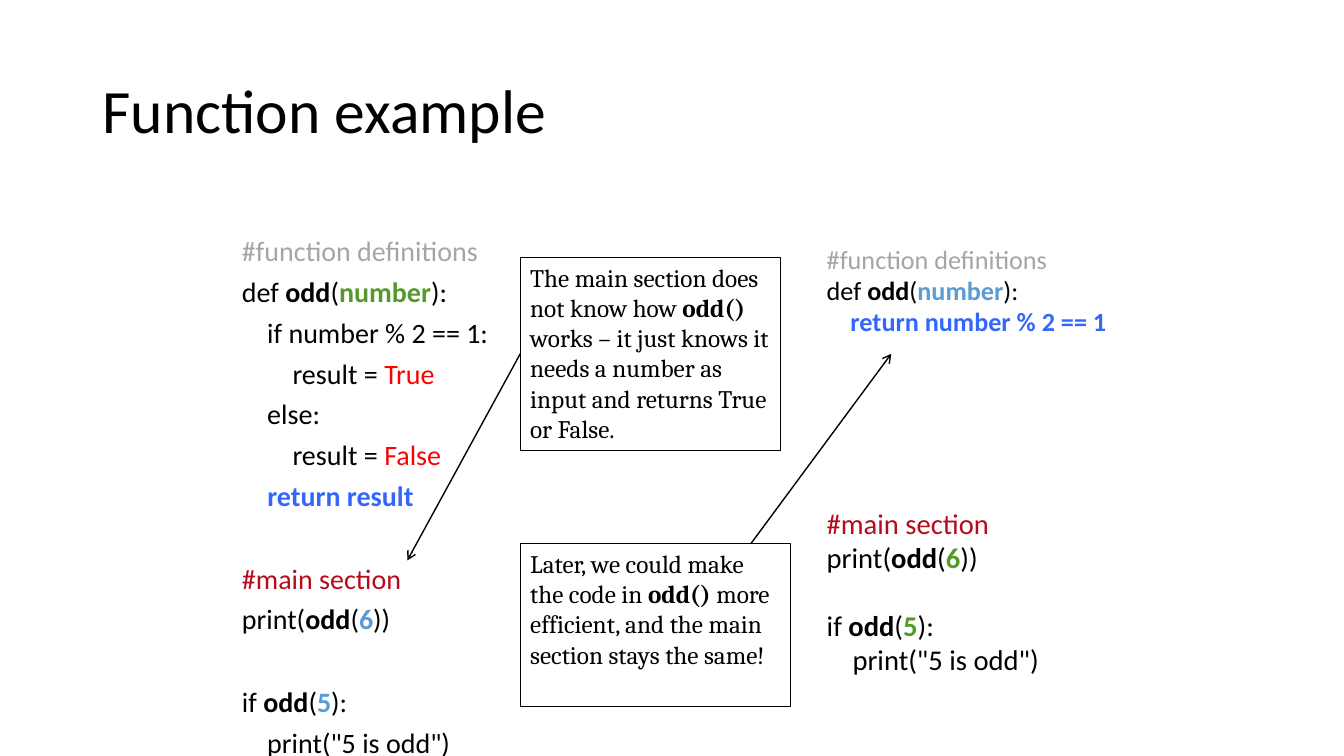
"""Build the slide that compares two versions of the odd() function."""
from dataclasses import dataclass

import pptx
import pptx.dml.color
import pptx.enum.shapes
import pptx.enum.text
import pptx.oxml
import pptx.oxml.ns
import pptx.util

Inches = pptx.util.Inches
Pt = pptx.util.Pt


@dataclass(frozen=True)
class Theme:
    black: str = "000000"
    grey: str = "A5A5A5"
    green: str = "55992B"
    light_blue: str = "5B9BD5"
    blue: str = "3366FF"
    red: str = "FF0000"
    crimson: str = "B50B1B"
    body_font: str = "Calibri"
    note_font: str = "Cambria"
    title_size: float = 44
    code_size: float = 20
    short_definition_size: float = 18.7
    short_main_size: float = 20.4
    note_size: float = 18


THEME = Theme()


def rgb(colour):
    return pptx.dml.color.RGBColor.from_string(colour)


def plain(text, colour=THEME.black):
    return text, colour, False


def strong(text, colour=THEME.black):
    return text, colour, True


def definition(colour):
    """Return the comment and the header line of odd()."""
    return [
        [plain("#function definitions", THEME.grey)],
        [plain("def "), strong("odd"), plain("("), strong("number", colour), plain("):")],
    ]


def call(before, value, after, colour):
    return [plain(before), strong("odd"), plain("("), strong(value, colour), plain(after)]


def main_section(colour):
    """Return the lines of the main section in two groups."""
    return [
        [[plain("#main section", THEME.crimson)], call("print(", "6", "))", colour)],
        [call("if ", "5", "):", colour), [plain('    print("5 is odd")')]],
    ]


def add_spans(para, spans, size, font):
    for text, colour, bold in spans:
        span = para.add_run()
        span.text = text
        span.font.name = font
        span.font.size = Pt(size)
        span.font.bold = bold
        span.font.color.rgb = rgb(colour)


def add_text_box(page, left, top, width, height, margins=(0.1, 0.05, 0.1, 0.05)):
    box = page.shapes.add_textbox(Inches(left), Inches(top), Inches(width), Inches(height))
    frame = box.text_frame
    frame.word_wrap = True
    (frame.margin_left, frame.margin_top,
     frame.margin_right, frame.margin_bottom) = map(Inches, margins)
    return frame


def add_title(page, text):
    frame = add_text_box(page, 0.92, 0.4, 11.5, 1.45)
    frame.vertical_anchor = pptx.enum.text.MSO_ANCHOR.MIDDLE
    para = frame.paragraphs[0]
    para.line_spacing = 0.9
    add_spans(para, [plain(text)], THEME.title_size, THEME.body_font)


def add_code(frame, groups, line_spacing, space):
    """Write code groups given as (lines, size, space before the group)."""
    para = frame.paragraphs[0]
    for group_number, (lines, size, group_space) in enumerate(groups):
        for line_number, spans in enumerate(lines):
            if group_number or line_number:
                para = frame.add_paragraph()
                para.space_before = Pt(space if line_number else group_space)
            para.line_spacing = line_spacing
            add_spans(para, spans, size, THEME.body_font)


def add_note(page, left, top, width, height, spans):
    note = page.shapes.add_shape(
        pptx.enum.shapes.MSO_SHAPE.RECTANGLE,
        Inches(left), Inches(top), Inches(width), Inches(height))
    note.shadow.inherit = False
    note.fill.background()
    note.line.color.rgb = rgb(THEME.black)
    note.line.width = Pt(0.75)
    frame = note.text_frame
    frame.word_wrap = True
    frame.vertical_anchor = pptx.enum.text.MSO_ANCHOR.TOP
    para = frame.paragraphs[0]
    para.alignment = pptx.enum.text.PP_ALIGN.LEFT
    add_spans(para, spans, THEME.note_size, THEME.note_font)
    return note


def add_arrow(page, start, end):
    arrow = page.shapes.add_connector(
        pptx.enum.shapes.MSO_CONNECTOR.STRAIGHT, *map(Inches, start + end))
    arrow.line.color.rgb = rgb(THEME.black)
    arrow.line.width = Pt(1)
    head = pptx.oxml.parse_xml(f'<a:tailEnd {pptx.oxml.ns.nsdecls("a")} type="arrow"/>')
    arrow.line._get_or_add_ln().append(head)
    arrow._element.spPr.append(
        pptx.oxml.parse_xml(f'<a:effectLst {pptx.oxml.ns.nsdecls("a")}/>'))
    return arrow


def main():
    deck = pptx.Presentation()
    deck.slide_width = Inches(13.33)
    deck.slide_height = Inches(7.5)
    page = deck.slides.add_slide(deck.slide_layouts[6])
    add_title(page, "Function example")

    long_body = [
        [plain("    if number % 2 == 1:")],
        [plain("        result = "), plain("True", THEME.red)],
        [plain("    else:")],
        [plain("        result = "), plain("False", THEME.red)],
        [plain("    "), strong("return result", THEME.blue)],
    ]
    long_groups = [definition(THEME.green) + long_body] + main_section(THEME.light_blue)
    long_code = add_text_box(page, 2.17, 2.33, 2.97, 4.45, (0.23, 0.05, 0.1, 0.05))
    add_code(long_code, [(lines, THEME.code_size, 39.5) for lines in long_groups], 0.8, 10)

    know_note = add_note(page, 5.16, 2.55, 2.58, 1.92, [
        plain("The main section does not know how "), strong("odd() "),
        plain("works – it just knows it needs a number as input and returns True or False.")])
    main_arrow = add_arrow(page, (5.16, 3.51), (4.04, 5.56))
    main_arrow.begin_connect(know_note, 1)

    add_note(page, 5.16, 5.39, 2.68, 1.62, [
        plain("Later, we could make the code in "), strong("odd() "),
        plain("more efficient, and the main section stays the same!")])
    add_arrow(page, (7.45, 5.39), (8.84, 3.51))

    short_body = [[plain("    "), strong("return number % 2 == 1", THEME.blue)]]
    output, condition = main_section(THEME.green)
    short_code = add_text_box(page, 8.01, 2.33, 3.16, 4.45, (0.19, 0.1, 0.1, 0.05))
    add_code(short_code, [
        (definition(THEME.light_blue) + short_body, THEME.short_definition_size, 0),
        (output, THEME.short_main_size, 122),
        (condition, THEME.short_main_size, 24.4),
    ], 0.98, 0)

    deck.save("out.pptx")


if __name__ == "__main__":
    main()
